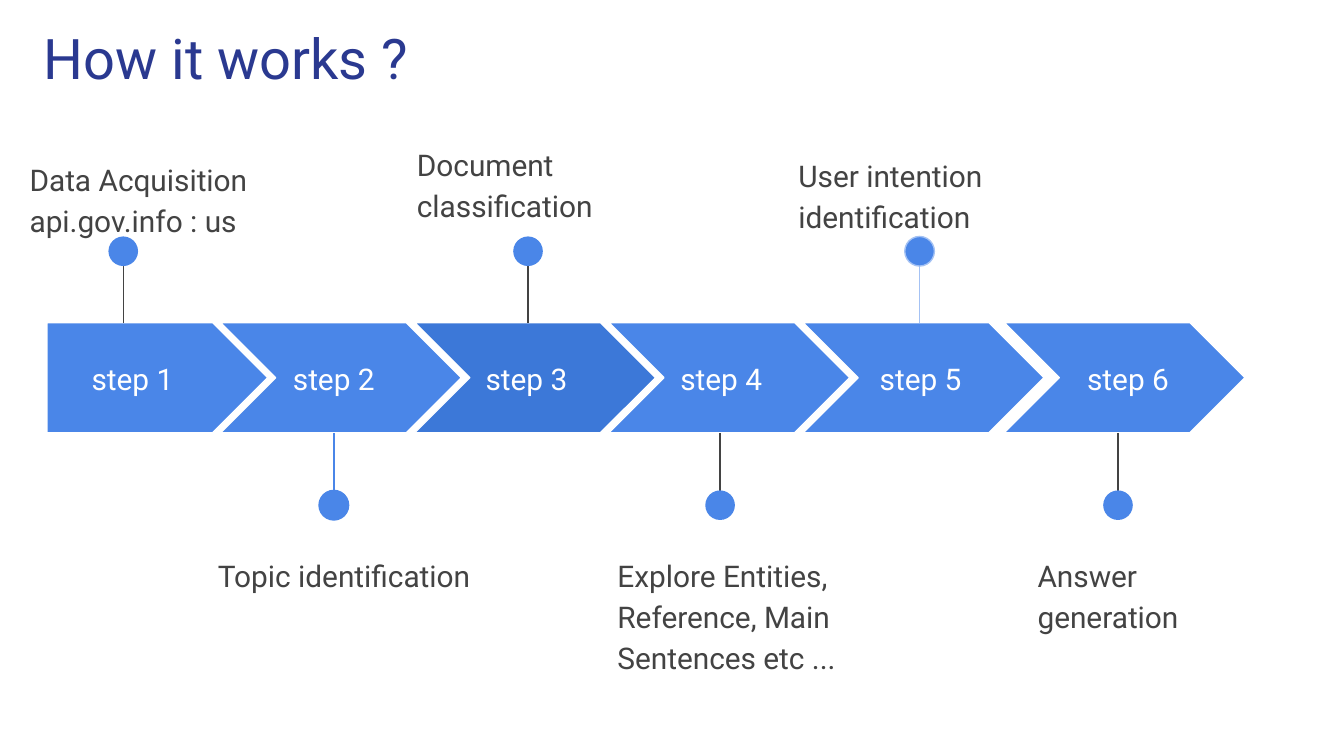
from lxml.etree import SubElement
from pptx import Presentation
from pptx.dml.color import RGBColor
from pptx.enum.shapes import MSO_CONNECTOR, MSO_SHAPE
from pptx.enum.text import MSO_ANCHOR, MSO_AUTO_SIZE, PP_ALIGN
from pptx.oxml.ns import qn
from pptx.util import Cm, Pt

BLUE = RGBColor(0x4A, 0x86, 0xE8)
DARK_BLUE = RGBColor(0x3C, 0x78, 0xD8)
PALE_BLUE = RGBColor(0xA4, 0xC2, 0xF4)
NAVY = RGBColor(0x2A, 0x39, 0x90)
GREY = RGBColor(0x43, 0x43, 0x43)
WHITE = RGBColor(0xFF, 0xFF, 0xFF)

ARROW_TOP, ARROW_HEIGHT = 6.1, 2.08
STEM_LENGTH = 1.55
DOT_SIZE = 0.56


def write_text(box, text, size, color, align=PP_ALIGN.LEFT, anchor=MSO_ANCHOR.TOP):
    frame = box.text_frame
    frame.word_wrap = True
    frame.auto_size = MSO_AUTO_SIZE.NONE
    frame.vertical_anchor = anchor
    frame.margin_left = frame.margin_right = Cm(0.25)
    frame.margin_top = frame.margin_bottom = Cm(0.25)
    frame.text = text
    paragraph = frame.paragraphs[0]
    paragraph.alignment = align
    font = paragraph.runs[0].font
    font.name, font.size, font.color.rgb = "Roboto", Pt(size), color
    return paragraph


def add_filled(kind, left, top, width, height, fill, outline):
    shape = slide.shapes.add_shape(kind, Cm(left), Cm(top), Cm(width), Cm(height))
    shape.shadow.inherit = False
    shape.fill.solid()
    shape.fill.fore_color.rgb = fill
    if outline is None:
        shape.line.fill.background()
    else:
        shape.line.color.rgb = outline
        shape.line.width = Pt(0.75)


presentation = Presentation()
presentation.slide_width, presentation.slide_height = Cm(25.4), Cm(14.29)
slide = presentation.slides.add_slide(presentation.slide_layouts[5])

# Title
title = slide.shapes.title
title.left, title.top, title.width, title.height = Cm(0.58), Cm(0.2), Cm(23.67), Cm(1.68)
write_text(title, "How it works ?", 30, NAVY)

# Steps: arrow left, width and fill; label left and width; stem x and colour;
# dot outline; description, its left, top, width and height
steps = [
    (0.89, 4.17, BLUE, 0.89, 3.23, 2.33, GREY, None,
     "Data Acquisition api.gov.info : us", 0.31, 2.7, 4.98, 1.3),
    (4.17, 4.55, BLUE, 4.85, 2.92, 6.31, BLUE, BLUE,
     "Topic identification", 3.87, 10.19, 5.46, 1.3),
    (7.84, 4.55, DARK_BLUE, 8.49, 2.92, 9.98, GREY, None,
     "Document classification", 7.63, 2.42, 5.72, 2.08),
    (11.51, 4.55, BLUE, 12.17, 2.92, 13.61, GREY, None,
     "Explore Entities, Reference, Main Sentences etc ...", 11.42, 10.19, 6.83, 2.51),
    (15.18, 4.55, BLUE, 15.94, 2.92, 17.38, PALE_BLUE, PALE_BLUE,
     "User intention identification", 14.84, 2.63, 4.98, 1.65),
    (18.98, 4.55, BLUE, 19.86, 2.92, 21.13, GREY, None,
     "Answer generation", 19.36, 10.19, 4.98, 1.65),
]

for number, (arrow_left, arrow_width, fill, label_left, label_width, stem_x, stem_color,
             dot_outline, description, left, top, width, height) in enumerate(steps, 1):
    # Arrow and step label
    kind = MSO_SHAPE.PENTAGON if number == 1 else MSO_SHAPE.CHEVRON
    add_filled(kind, arrow_left, ARROW_TOP, arrow_width, ARROW_HEIGHT, fill, WHITE)
    label = slide.shapes.add_textbox(Cm(label_left), Cm(6.5), Cm(label_width), Cm(1.3))
    write_text(label, f"step {number}", 16, WHITE, PP_ALIGN.CENTER, MSO_ANCHOR.MIDDLE)

    # Stem and dot: odd steps point up, even steps point down
    if number % 2:
        stem_start, stem_end = ARROW_TOP, ARROW_TOP - STEM_LENGTH
        dot_top = 4.47
    else:
        stem_start = ARROW_TOP + ARROW_HEIGHT
        stem_end = stem_start + STEM_LENGTH
        dot_top = 9.27
    stem = slide.shapes.add_connector(MSO_CONNECTOR.STRAIGHT, Cm(stem_x), Cm(stem_start),
                                      Cm(stem_x), Cm(stem_end))
    stem.line.color.rgb = stem_color
    stem.line.width = Pt(0.75)
    SubElement(stem._element.spPr, qn("a:effectLst"))
    add_filled(MSO_SHAPE.OVAL, stem_x - DOT_SIZE / 2, dot_top, DOT_SIZE, DOT_SIZE,
               BLUE, dot_outline)

    # Description
    note = slide.shapes.add_textbox(Cm(left), Cm(top), Cm(width), Cm(height))
    paragraph = write_text(note, description, 16, GREY)
    paragraph.line_spacing = 1.15
    paragraph.space_after = Pt(16)

presentation.save("out.pptx")
